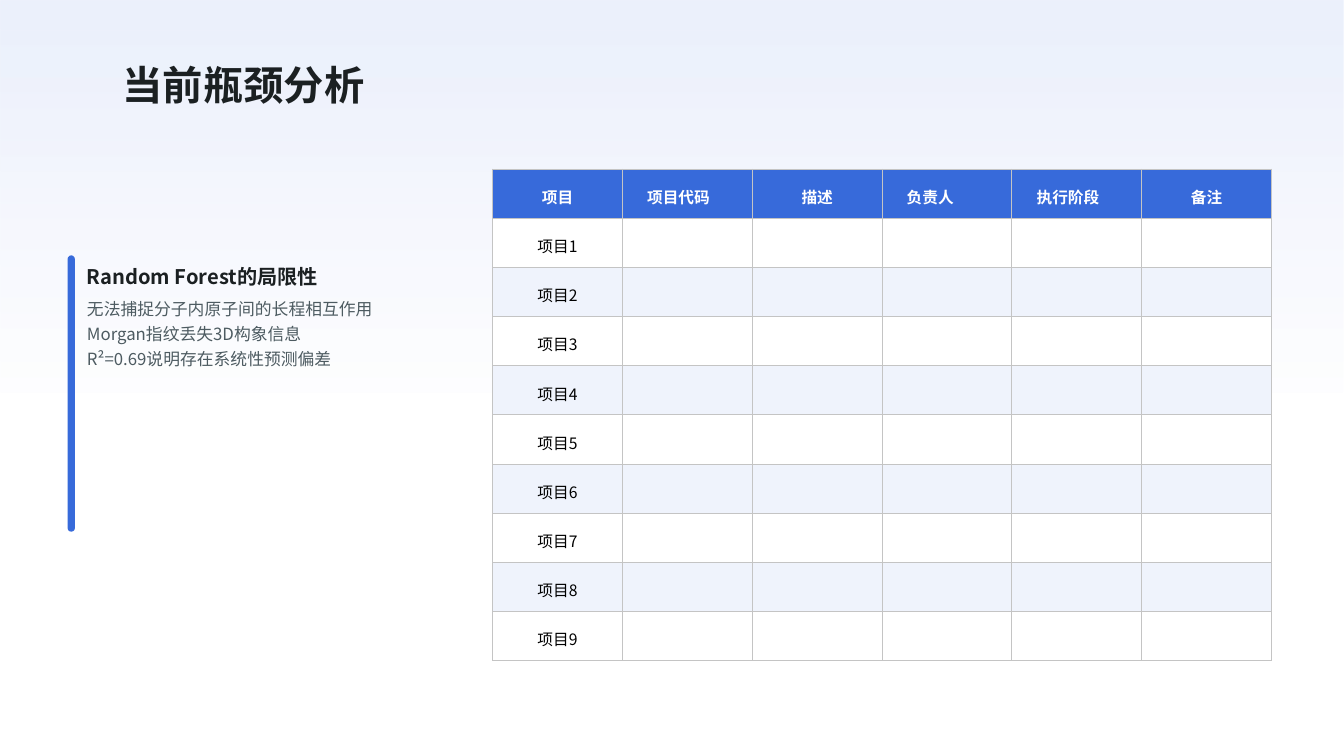
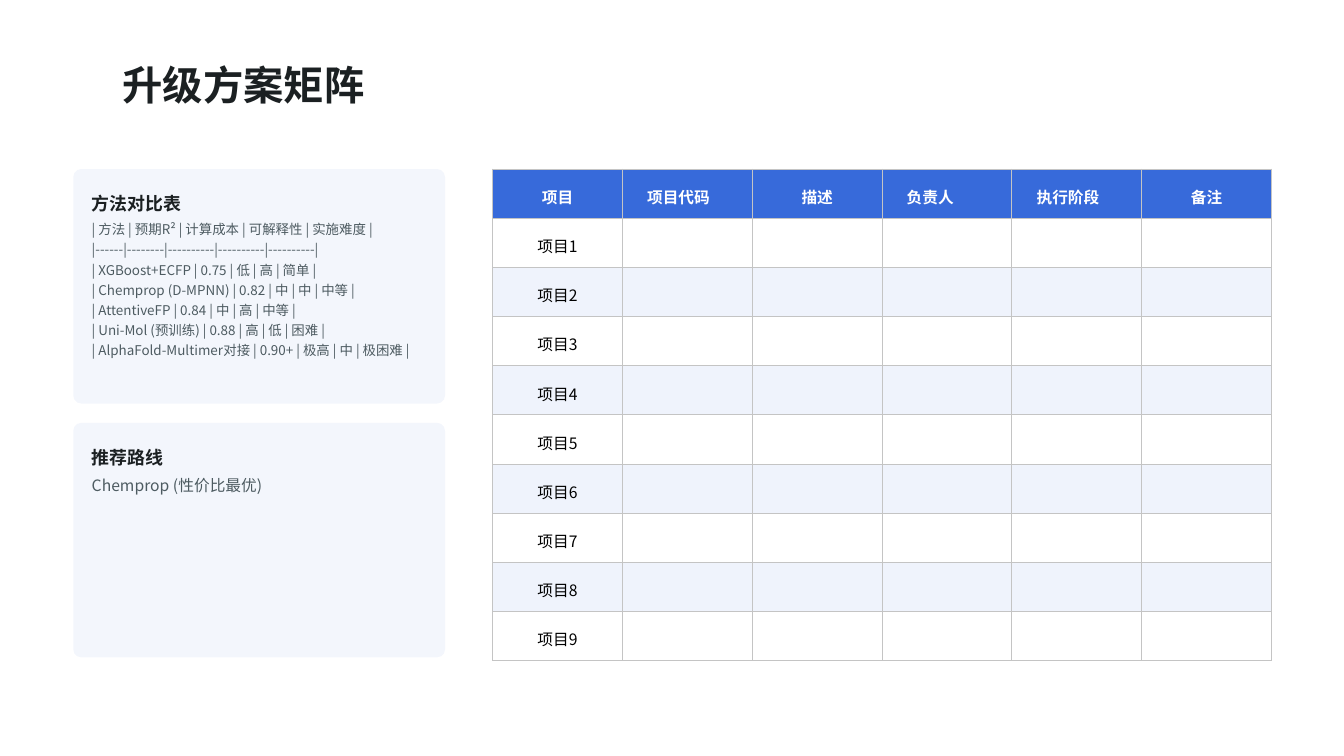
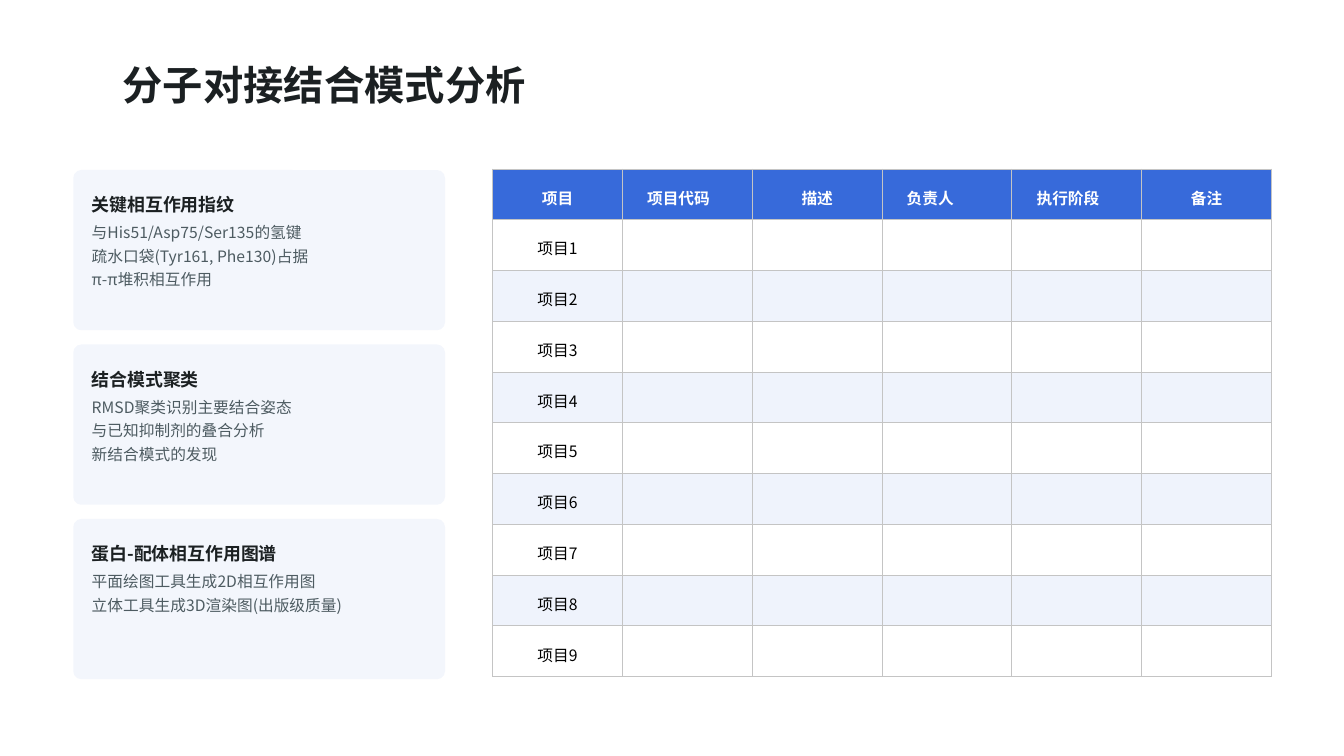
from lxml import etree
from pptx import Presentation
from pptx.dml.color import RGBColor
from pptx.enum.shapes import MSO_SHAPE
from pptx.enum.text import MSO_ANCHOR, MSO_AUTO_SIZE, PP_ALIGN
from pptx.oxml import parse_xml
from pptx.oxml.ns import nsdecls, qn
from pptx.util import Cm, Pt

RECT, ROUND = MSO_SHAPE.RECTANGLE, MSO_SHAPE.ROUNDED_RECTANGLE
TOP, MIDDLE = MSO_ANCHOR.TOP, MSO_ANCHOR.MIDDLE
LEFT, CENTER = PP_ALIGN.LEFT, PP_ALIGN.CENTER
FIT, NO_FIT = MSO_AUTO_SIZE.TEXT_TO_FIT_SHAPE, MSO_AUTO_SIZE.NONE

BLUE = RGBColor(0x37, 0x6A, 0xDA)
INK = RGBColor(0x1B, 0x20, 0x22)
GREY = RGBColor(0x4D, 0x5B, 0x61)
BAND = RGBColor(0xEF, 0xF3, 0xFC)
GRID = RGBColor(0xC4, 0xC4, 0xC4)
WHITE = RGBColor(0xFF, 0xFF, 0xFF)
BLACK = RGBColor(0, 0, 0)

FONT = "Noto Sans CJK SC"
SLIDE_W, SLIDE_H = 42.34, 23.83
COMPARISON = 4
TABLE_X, TABLE_Y, COL_W = 15.52, 5.33, 4.09
CARD_X, CARD_W, PAD, RADIUS = 2.31, 11.71, 0.58, 0.25
HEADERS = ["项目", "项目代码\t", "描述", "负责人\t", "执行阶段\t", "备注"]
ITEMS = [f"项目{i}" for i in range(1, 10)]


def write(tf, text, size, color, bold=False, align=LEFT, spacing=1.25):
    """Fill a text frame with one paragraph per line of text."""
    for i, line in enumerate(text.split("\n")):
        p = tf.paragraphs[0] if i == 0 else tf.add_paragraph()
        pPr = p._p.get_or_add_pPr()
        pPr.set("marL", "0")
        pPr.set("indent", "0")
        etree.SubElement(pPr, qn("a:buNone"))
        p.alignment, p.line_spacing = align, spacing
        p.space_before = p.space_after = Pt(0)
        r = p.add_run()
        r.text = line
        r.font.name, r.font.size, r.font.bold = FONT, Pt(size), bold
        r.font.color.rgb = color
        ea = etree.SubElement(r.font._element, qn("a:ea"))
        ea.set("typeface", FONT)


def place_text(sp, box, text, anchor=MIDDLE, fit=NO_FIT, **fmt):
    """Move a text shape to its box and write into it without insets."""
    sp.left, sp.top, sp.width, sp.height = map(Cm, box)
    tf = sp.text_frame
    tf.margin_left = tf.margin_right = tf.margin_top = tf.margin_bottom = 0
    tf.word_wrap, tf.auto_size, tf.vertical_anchor = True, fit, anchor
    write(tf, text, **fmt)


def add_plain(slide, shape, box, alpha=100):
    """Add a blue shape without line or shadow."""
    sp = slide.shapes.add_shape(shape, *map(Cm, box))
    sp.shadow.inherit = False
    sp.line.fill.background()
    sp.fill.solid()
    sp.fill.fore_color.rgb = BLUE
    if alpha < 100:
        clr = sp._element.spPr.find(qn("a:solidFill"))[0]
        etree.SubElement(clr, qn("a:alpha")).set("val", str(alpha * 1000))
    return sp


def add_glow(slide):
    """Lay a fading blue gradient behind everything on the slide."""
    sp = add_plain(slide, RECT, (0, 0, SLIDE_W, SLIDE_H))
    stops = "".join(
        f'<a:gs pos="{pos}000"><a:srgbClr val="{BLUE}"><a:alpha val="{alpha}000"/></a:srgbClr></a:gs>'
        for pos, alpha in ((0, 10), (53, 0)))
    grad = parse_xml(f'<a:gradFill {nsdecls("a")} rotWithShape="1"><a:gsLst>{stops}</a:gsLst>'
                     '<a:lin ang="5400000" scaled="0"/></a:gradFill>')
    spPr = sp._element.spPr
    spPr.replace(spPr.find(qn("a:solidFill")), grad)
    slide.shapes._spTree.insert(2, sp._element)


def add_borders(cell):
    """Draw thin grey lines on the four sides of a cell."""
    tcPr = cell._tc.get_or_add_tcPr()
    for side in ("lnL", "lnR", "lnT", "lnB"):
        tcPr.append(parse_xml(f'<a:{side} {nsdecls("a")} w="12700"><a:solidFill>'
                              f'<a:srgbClr val="{GRID}"/></a:solidFill></a:{side}>'))


def add_project_table(slide, row_h):
    """Add the project table with a blue header and banded rows."""
    rows = [HEADERS] + [[item] + [""] * (len(HEADERS) - 1) for item in ITEMS]
    table = slide.shapes.add_table(
        len(rows), len(HEADERS), Cm(TABLE_X), Cm(TABLE_Y),
        Cm(COL_W * len(HEADERS)), Cm(row_h * len(rows))).table
    for i, row in enumerate(rows):
        head = i == 0
        for j, text in enumerate(row):
            cell = table.cell(i, j)
            add_borders(cell)
            cell.fill.solid()
            cell.fill.fore_color.rgb = BLUE if head else WHITE if i % 2 else BAND
            cell.vertical_anchor = MIDDLE
            if text:
                write(cell.text_frame, text, 14, WHITE if head else BLACK, head, CENTER)


def add_section(slide, holders, box, head, body, head_h, body_dy, head_size, body_size):
    """Put a bold heading over its lines of text inside a box."""
    x, y, w, h = box
    place_text(slide.shapes.add_textbox(0, 0, 0, 0), (x, y, w, head_h), head,
               size=head_size, color=INK, bold=True)
    place_text(holders.pop(0), (x, y + body_dy, w, h - body_dy), body,
               anchor=TOP, fit=FIT, size=body_size, color=GREY)


def add_cards(slide, holders, top, height, pitch, cards):
    """Stack tinted cards down the left side."""
    for i, (head, body, size) in enumerate(cards):
        y = top + i * pitch
        sp = add_plain(slide, ROUND, (CARD_X, y, CARD_W, height), alpha=6)
        sp.adjustments[0] = RADIUS / height
        slide.shapes._spTree.insert(2, sp._element)
        add_section(slide, holders, (CARD_X + PAD, y + PAD, CARD_W - 2 * PAD, height - 2 * PAD),
                    head, body, 0.84, 0.94, 16, size)


def add_marked_section(slide, holders, box, head, body):
    """Add a section with a blue bar at its left edge."""
    x, y, w, h = box
    bar = add_plain(slide, ROUND, (x, y, 0.23, h))
    bar.adjustments[0] = 0.5
    add_section(slide, holders, (x + 0.61, y, w - 0.61, h), head, body, 1.14, 1.2, 18, 15)


def start_slide(prs, title, row_h):
    """Add a slide with title and table; return it and its body placeholders."""
    slide = prs.slides.add_slide(prs.slide_layouts[COMPARISON])
    place_text(slide.shapes.title, (3.86, 1.3, 36.25, 2.36), title,
               size=36, color=INK, bold=True)
    add_project_table(slide, row_h)
    return slide, list(slide.placeholders)[1:]


def drop_unused(holders):
    """Remove the placeholders that were not filled."""
    for sp in holders:
        sp._element.getparent().remove(sp._element)


def bottleneck_slide(prs):
    """Build the slide on current bottlenecks."""
    slide, holders = start_slide(prs, "当前瓶颈分析", 1.55)
    add_glow(slide)
    add_marked_section(slide, holders, (2.13, 8.05, 10.59, 8.71), "Random Forest的局限性",
                       "无法捕捉分子内原子间的长程相互作用\n"
                       "Morgan指纹丢失3D构象信息\n"
                       "R²=0.69说明存在系统性预测偏差")
    drop_unused(holders)


def card_slide(prs, title, row_h, top, height, pitch, cards):
    """Build a slide with cards beside the table."""
    slide, holders = start_slide(prs, title, row_h)
    add_cards(slide, holders, top, height, pitch, cards)
    drop_unused(holders)


def main():
    """Build the deck and save it."""
    prs = Presentation()
    prs.slide_width, prs.slide_height = Cm(SLIDE_W), Cm(SLIDE_H)
    bottleneck_slide(prs)
    card_slide(prs, "升级方案矩阵", 1.55, 5.33, 7.39, 8, [
        ("方法对比表",
         "| 方法 | 预期R² | 计算成本 | 可解释性 | 实施难度 |\n"
         "|------|--------|----------|----------|----------|\n"
         "| XGBoost+ECFP | 0.75 | 低 | 高 | 简单 |\n"
         "| Chemprop (D-MPNN) | 0.82 | 中 | 中 | 中等 |\n"
         "| AttentiveFP | 0.84 | 中 | 高 | 中等 |\n"
         "| Uni-Mol (预训练) | 0.88 | 高 | 低 | 困难 |\n"
         "| AlphaFold-Multimer对接 | 0.90+ | 极高 | 中 | 极困难 |", 12),
        ("推荐路线", "Chemprop (性价比最优)", 14),
    ])
    card_slide(prs, "分子对接结合模式分析", 1.6, 5.36, 5.05, 5.5, [
        ("关键相互作用指纹",
         "与His51/Asp75/Ser135的氢键\n疏水口袋(Tyr161, Phe130)占据\nπ-π堆积相互作用", 14),
        ("结合模式聚类",
         "RMSD聚类识别主要结合姿态\n与已知抑制剂的叠合分析\n新结合模式的发现", 14),
        ("蛋白-配体相互作用图谱",
         "平面绘图工具生成2D相互作用图\n立体工具生成3D渲染图(出版级质量)", 14),
    ])
    prs.save("out.pptx")


if __name__ == "__main__":
    main()
